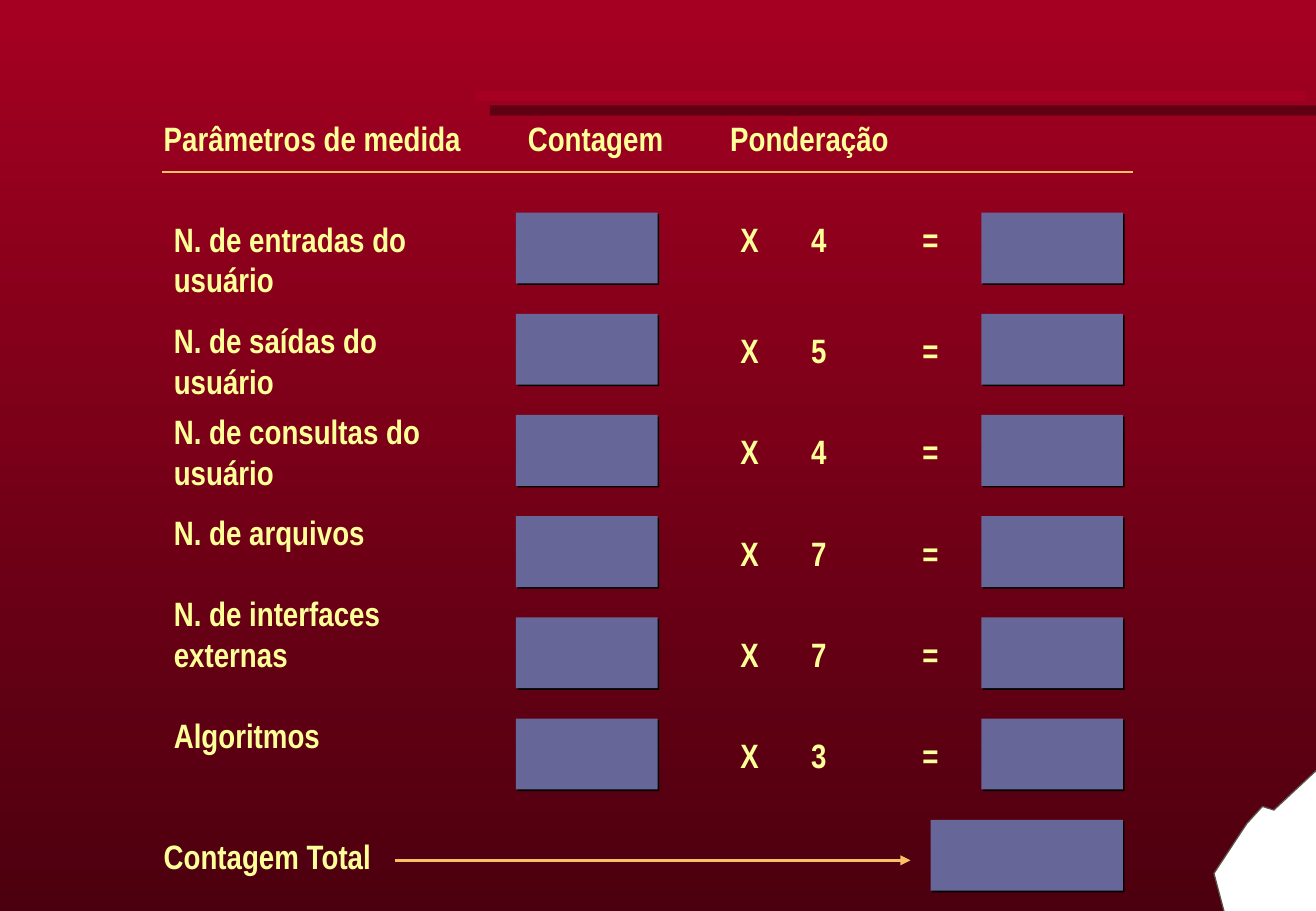
"""Builds the function point counting slide."""
from lxml import etree
from pptx import Presentation
from pptx.dml.color import RGBColor
from pptx.enum import shapes, text
from pptx.oxml import ns
from pptx.util import Pt

COLORS = {"top": "A50021", "bottom": "4C000F", "text": "FFFF99", "box": "666699",
          "line": "FAC164", "shadow": "000000", "bar_shadow": "620013",
          "paper": "FFFFFF", "paper_edge": "5B5249"}
FONT = "Arial Narrow"

HEADINGS = [("Parâmetros de medida", 90, 192), ("Contagem", 306, 108), ("Ponderação", 426, 126)]
HEADING_TOP = 66
# parameter, label top, weight, weight top
PARAMETERS = [
    ("N. de entradas do usuário", 126, 4, 126),
    ("N. de saídas do usuário", 186, 5, 192),
    ("N. de consultas do usuário", 240, 4, 252),
    ("N. de arquivos", 300, 7, 312),
    ("N. de interfaces externas", 348, 7, 372),
    ("Algoritmos", 420, 3, 432),
]
TOTAL = "Contagem Total"
TORN_PAPER = [(784, 453.6), (784, 544), (727, 544), (720, 517.7), (739.5, 488.2),
              (748.8, 478), (755.5, 480.2)]
LABEL_LEFT, LABEL_WIDTH = 96, 162
COUNT_LEFT, RESULT_LEFT = 306, 582
TIMES_LEFT, WEIGHT_LEFT, EQUALS_LEFT, SIGN_WIDTH = 432, 474, 540, 42
ROW_TOP, ROW_PITCH = 126, 60
BOX_WIDTH, BOX_HEIGHT = 84, 42


def rgb(name):
    return RGBColor.from_string(COLORS[name])


def shadow_effect(distance, color):
    effects = etree.Element(ns.qn("a:effectLst"))
    shadow = etree.SubElement(effects, ns.qn("a:outerShdw"), dist=str(Pt(distance)),
                              dir="2700000", algn="ctr", rotWithShape="0")
    etree.SubElement(shadow, ns.qn("a:srgbClr"), val=COLORS[color])
    return effects


def add_label(slide, words, left, top, width):
    frame = slide.shapes.add_textbox(Pt(left), Pt(top), Pt(width), Pt(31.5)).text_frame
    frame.word_wrap = True
    frame.auto_size = text.MSO_AUTO_SIZE.SHAPE_TO_FIT_TEXT
    frame.text = words
    paragraph = frame.paragraphs[0]
    paragraph.space_before = Pt(12.5)
    font = paragraph.runs[0].font
    font.name, font.size, font.bold = FONT, Pt(20), True
    font.color.rgb = rgb("text")
    properties = paragraph.runs[0]._r.get_or_add_rPr()
    properties.find(ns.qn("a:solidFill")).addnext(shadow_effect(1.4, "shadow"))


def add_box(slide, left, top, width=BOX_WIDTH, height=BOX_HEIGHT, fill="box",
            distance=1.4, shadow="shadow"):
    box = slide.shapes.add_shape(shapes.MSO_SHAPE.RECTANGLE, Pt(left), Pt(top),
                                 Pt(width), Pt(height))
    box.fill.solid()
    box.fill.fore_color.rgb = rgb(fill)
    box.line.fill.background()
    box._element.spPr.append(shadow_effect(distance, shadow))


def add_line(slide, left, right, y, width):
    line = slide.shapes.add_connector(shapes.MSO_CONNECTOR.STRAIGHT, Pt(left), Pt(y),
                                      Pt(right), Pt(y))
    line.line.color.rgb = rgb("line")
    line.line.width = Pt(width)
    etree.SubElement(line._element.spPr, ns.qn("a:effectLst"))
    return line


def add_torn_paper(slide):
    start, *corners = [(Pt(x), Pt(y)) for x, y in TORN_PAPER]
    builder = slide.shapes.build_freeform(*start)
    builder.add_line_segments(corners, close=True)
    paper = builder.convert_to_shape()
    paper.shadow.inherit = False
    paper.fill.solid()
    paper.fill.fore_color.rgb = rgb("paper")
    paper.line.color.rgb = rgb("paper_edge")
    paper.line.width = Pt(0.75)


def main():
    deck = Presentation()
    deck.slide_width, deck.slide_height = Pt(780.48), Pt(540)
    slide = deck.slides.add_slide(deck.slide_layouts[6])
    background = slide.background.fill
    background.gradient()
    background.gradient_angle = 270
    for stop, name in zip(background.gradient_stops, ("top", "bottom")):
        stop.color.rgb = rgb(name)

    add_torn_paper(slide)
    add_box(slide, 282, 54, 492, 6, "top", 12.1, "bar_shadow")
    for words, left, width in HEADINGS:
        add_label(slide, words, left, HEADING_TOP, width)
    add_line(slide, 96, 672, 102, 0.75)

    for row, (parameter, label_top, weight, weight_top) in enumerate(PARAMETERS):
        add_label(slide, parameter, LABEL_LEFT, label_top, LABEL_WIDTH)
        for left in (COUNT_LEFT, RESULT_LEFT):
            add_box(slide, left, ROW_TOP + row * ROW_PITCH)
        for sign, left in (("X", TIMES_LEFT), (str(weight), WEIGHT_LEFT), ("=", EQUALS_LEFT)):
            add_label(slide, sign, left, weight_top, SIGN_WIDTH)

    add_label(slide, TOTAL, 90, 492, 162)
    add_box(slide, 552, ROW_TOP + len(PARAMETERS) * ROW_PITCH, 114)
    arrow = add_line(slide, 234, 540, 510, 1.5)
    etree.SubElement(arrow.line._get_or_add_ln(), ns.qn("a:tailEnd"), type="triangle")
    deck.save("out.pptx")


if __name__ == "__main__":
    main()
